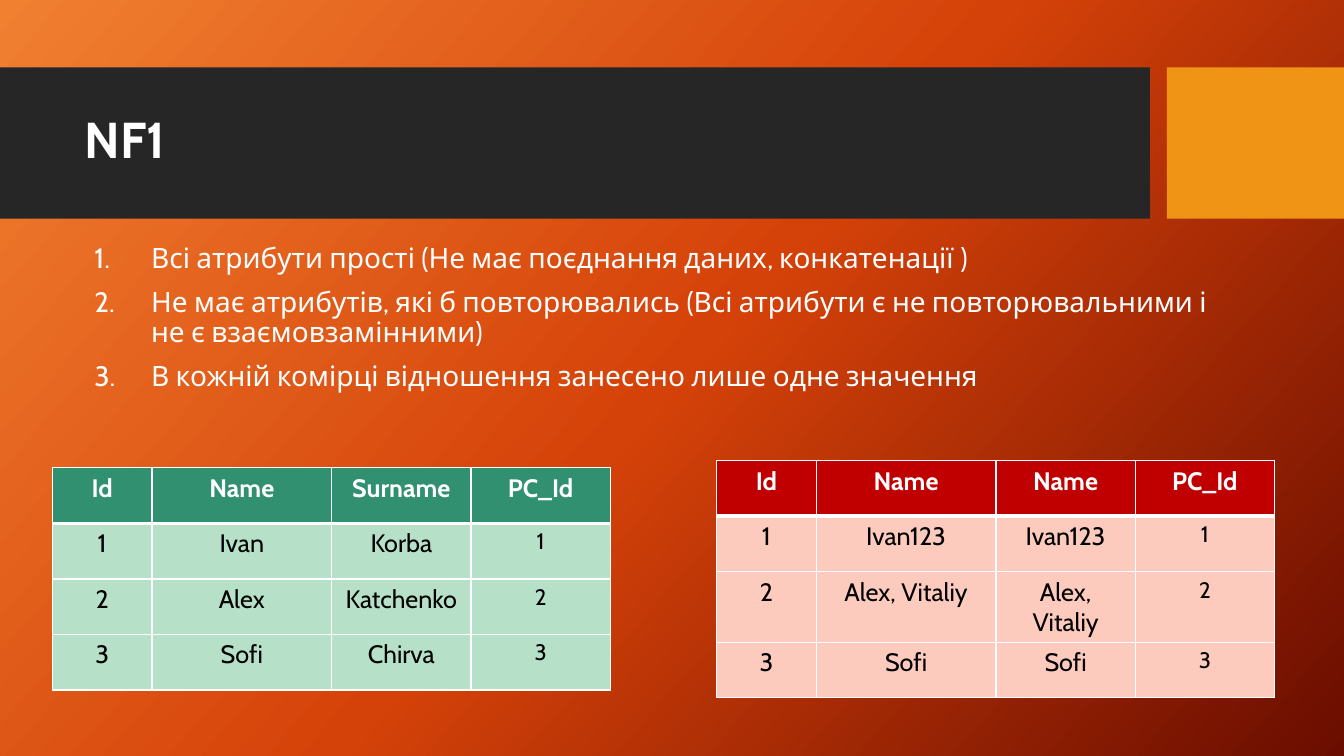
"""Builds the slide on the first normal form, with two sample tables."""
import copy

import pptx
import pptx.dml.color
import pptx.enum.shapes
import pptx.enum.text
import pptx.oxml
import pptx.oxml.ns
import pptx.util
from pptx.util import Cm

FONT = "Cabin"
WHITE = "FFFFFF"
BLACK = "000000"
COLUMN_WIDTHS = (2.51, 4.53, 3.51, 3.51)
ROW_HEIGHT = 1.4
RULES = (
    "Всі атрибути прості (Не має поєднання даних, конкатенації )",
    "Не має атрибутів, які б повторювались (Всі атрибути є не повторювальними і не є взаємовзамінними)",
    "В кожній комірці відношення занесено лише одне значення",
)
PEOPLE = (
    ("Id", "Name", "Surname", "PC_Id"),
    ("1", "Ivan", "Korba", "1"),
    ("2", "Alex", "Katchenko", "2"),
    ("3", "Sofi", "Chirva", "3"),
)
REPEATED_NAMES = (
    ("Id", "Name", "Name", "PC_Id"),
    ("1", "Ivan123", "Ivan123", "1"),
    ("2", "Alex, Vitaliy", "Alex, Vitaliy", "2"),
    ("3", "Sofi", "Sofi", "3"),
)


def rgb(value):
    """Return the colour for a hex string."""
    return pptx.dml.color.RGBColor.from_string(value)


def set_background(slide, stops, angle):
    """Fill the slide with a linear gradient, its angle counted clockwise."""
    fill = slide.background.fill
    fill.gradient()
    fill.gradient_angle = 360 - angle
    stop_list = slide.element.find(".//" + pptx.oxml.ns.qn("a:gsLst"))
    while len(stop_list) < len(stops):
        stop_list.append(copy.deepcopy(stop_list[0]))
    for stop, (position, color) in zip(fill.gradient_stops, stops):
        stop.position = position
        stop.color.rgb = rgb(color)


def add_band(slide, left, width, color):
    """Add one plain rectangle of the title band."""
    shape = slide.shapes.add_shape(
        pptx.enum.shapes.MSO_SHAPE.RECTANGLE, Cm(left), Cm(1.7), Cm(width), Cm(3.81))
    shape.shadow.inherit = False
    shape.fill.solid()
    shape.fill.fore_color.rgb = rgb(color)
    shape.line.fill.background()


def add_run(paragraph, text, size, color=WHITE, bold=False):
    """Add a formatted run to a paragraph."""
    run = paragraph.add_run()
    run.text = text
    run.font.name = FONT
    run.font.size = pptx.util.Pt(size)
    run.font.bold = bold
    run.font.color.rgb = rgb(color)


def add_text_frame(slide, left, top, width, height):
    """Add a wrapping text box and return its text frame."""
    shape = slide.shapes.add_textbox(Cm(left), Cm(top), Cm(width), Cm(height))
    shape.text_frame.word_wrap = True
    return shape.text_frame


def add_title(slide, text):
    """Add the slide title, centred vertically in the band."""
    frame = add_text_frame(slide, 1.88, 2.08, 26.7, 3)
    frame.vertical_anchor = pptx.enum.text.MSO_ANCHOR.MIDDLE
    paragraph = frame.paragraphs[0]
    paragraph.line_spacing = 0.9
    add_run(paragraph, text, 36, bold=True)


def add_numbered_list(slide, items):
    """Add the automatically numbered list."""
    frame = add_text_frame(slide, 2.13, 6.02, 29.21, 12.09)
    for index, item in enumerate(items):
        paragraph = frame.add_paragraph() if index else frame.paragraphs[0]
        properties = paragraph._p.get_or_add_pPr()
        properties.set("marL", str(Cm(1.43)))
        properties.set("indent", str(-Cm(1.43)))
        number_font = pptx.oxml.parse_xml(
            f'<a:buFont {pptx.oxml.ns.nsdecls("a")} typeface="+mj-lt"/>')
        number_font.set("typeface", FONT)
        properties.append(number_font)
        properties.append(pptx.oxml.parse_xml(
            f'<a:buAutoNum {pptx.oxml.ns.nsdecls("a")} type="arabicPeriod"/>'))
        paragraph.line_spacing = 0.9
        if index:
            paragraph.space_before = pptx.util.Pt(10)
        add_run(paragraph, item, 20)


def set_borders(cell, top, bottom):
    """Draw white cell borders, with the given top and bottom widths in points."""
    properties = cell._tc.get_or_add_tcPr()
    widths = {"lnL": 1, "lnR": 1, "lnT": top, "lnB": bottom}
    for index, (side, width) in enumerate(widths.items()):
        properties.insert(index, pptx.oxml.parse_xml(
            f'<a:{side} {pptx.oxml.ns.nsdecls("a")} w="{pptx.util.Pt(width)}">'
            f'<a:solidFill><a:srgbClr val="{WHITE}"/></a:solidFill></a:{side}>'))


def add_data_table(slide, left, top, rows, header_color, body_color):
    """Add a table with a dark header row and pale body rows."""
    table = slide.shapes.add_table(
        len(rows), len(COLUMN_WIDTHS), Cm(left), Cm(top),
        Cm(sum(COLUMN_WIDTHS)), Cm(ROW_HEIGHT * len(rows))).table
    for column, width in zip(table.columns, COLUMN_WIDTHS):
        column.width = Cm(width)
    for row_index, row in enumerate(rows):
        table.rows[row_index].height = Cm(ROW_HEIGHT)
        is_header = row_index == 0
        for column_index, text in enumerate(row):
            cell = table.cell(row_index, column_index)
            cell.fill.solid()
            cell.fill.fore_color.rgb = rgb(header_color if is_header else body_color)
            set_borders(cell, 3 if row_index == 1 else 1, 3 if is_header else 1)
            paragraph = cell.text_frame.paragraphs[0]
            paragraph.alignment = pptx.enum.text.PP_ALIGN.CENTER
            is_small = not is_header and column_index == len(row) - 1
            add_run(paragraph, text, 16 if is_small else 18,
                    WHITE if is_header else BLACK, is_header)


def main():
    """Build and save the presentation."""
    presentation = pptx.Presentation()
    presentation.slide_width = Cm(33.87)
    presentation.slide_height = Cm(19.05)
    slide = presentation.slides.add_slide(presentation.slide_layouts[6])
    set_background(slide, ((0, "F18031"), (0.5, "D54209"), (1, "6A0D00")), 42)
    add_band(slide, 0, 28.98, "262626")
    add_band(slide, 29.41, 4.46, "F09415")
    add_title(slide, "NF1")
    add_numbered_list(slide, RULES)
    add_data_table(slide, 1.32, 11.79, PEOPLE, "309070", "B6E0C7")
    add_data_table(slide, 18.06, 11.61, REPEATED_NAMES, "C00000", "FDCBBE")
    presentation.save("out.pptx")


if __name__ == "__main__":
    main()
